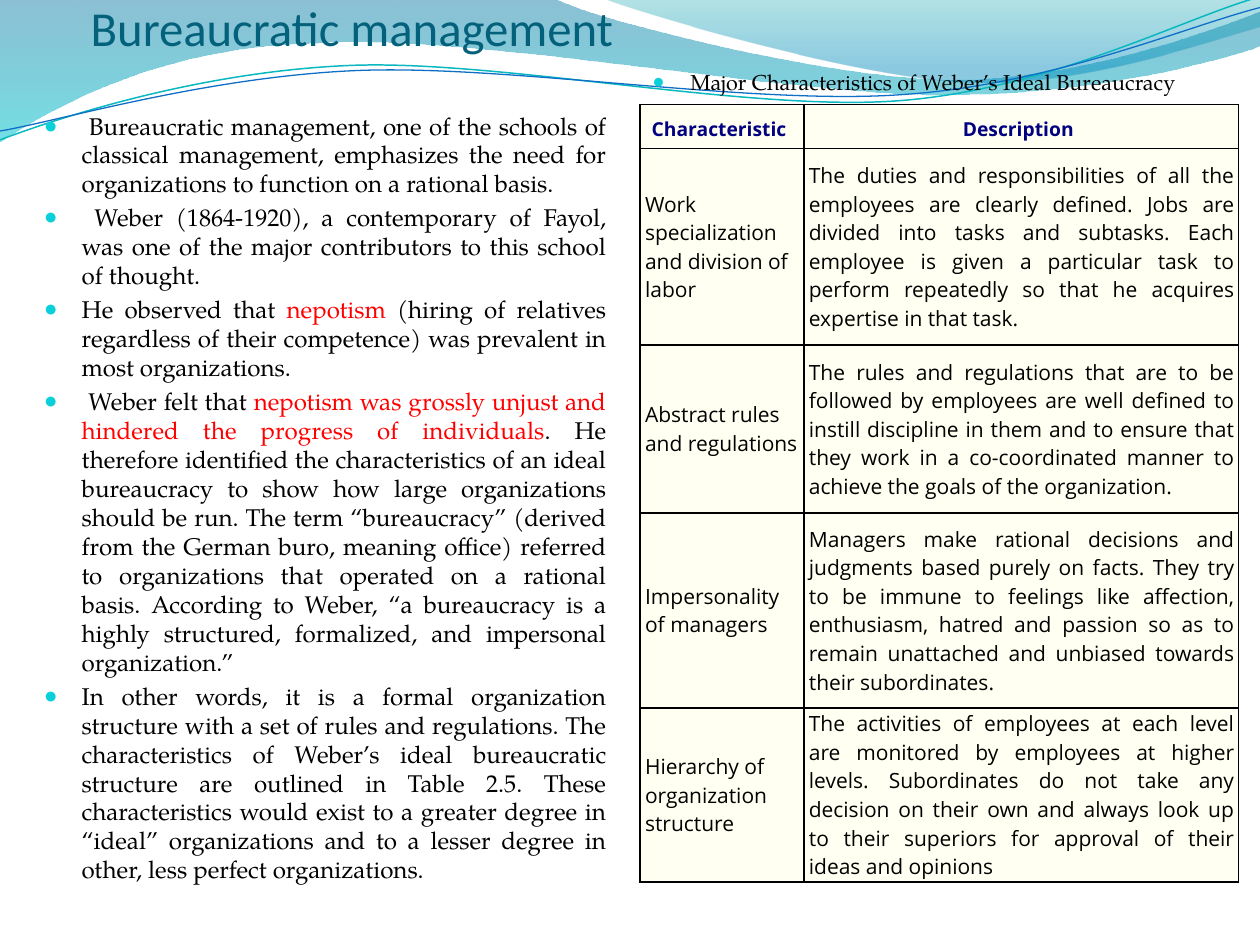
from math import cos, radians, sin
from lxml.etree import SubElement
from pptx import Presentation
from pptx.dml.color import RGBColor
from pptx.enum.text import MSO_ANCHOR, PP_ALIGN
from pptx.oxml import parse_xml
from pptx.oxml.ns import nsdecls, qn
from pptx.util import Inches, Pt

THEME = {
    "title": {"name": "Calibri", "size": 27.9, "color": "04617B"},
    "body": {"name": "TeX Gyre Pagella", "size": 13.8, "color": "000000"},
    "key": {"name": "TeX Gyre Pagella", "size": 13.8, "color": "FF0000"},
    "caption": {"name": "TeX Gyre Pagella", "size": 12.3, "color": "000000"},
    "head": {"name": "Open Sans", "size": 11, "color": "000080", "bold": True},
    "head_end": {"name": "Times New Roman", "size": 16, "color": "000000", "bold": True},
    "cell": {"name": "Open Sans", "size": 12, "color": "000000", "bold": False},
    "bullet": "0BD0D9",
    "bullet_font": "Times New Roman",
    "cell_fill": "FFFFF2",
    "border": "000000",
}

# Content: each paragraph is a list of (style, text) runs
TITLE = "Bureaucratic management"
CAPTION = "Major Characteristics of Weber’s Ideal Bureaucracy"
POINTS = [
    [("body", " Bureaucratic management, one of the schools of classical management, "
      "emphasizes the need for organizations to function on a rational basis.")],
    [("body", " Weber (1864-1920), a contemporary of Fayol, was one of the major "
      "contributors to this school of thought.")],
    [("body", "He observed that "), ("key", "nepotism"),
     ("body", " (hiring of relatives regardless of their competence) was prevalent "
      "in most organizations.")],
    [("body", " Weber felt that "),
     ("key", "nepotism was grossly unjust and hindered the progress of individuals"),
     ("body", ". He therefore identified the characteristics of an ideal bureaucracy "
      "to show how large organizations should be run. The term “bureaucracy” (derived "
      "from the German buro, meaning office) referred to organizations that operated "
      "on a rational basis. According to Weber, “a bureaucracy is a highly structured, "
      "formalized, and impersonal organization.”")],
    [("body", "In other words, it is a formal organization structure with a set of "
      "rules and regulations. The characteristics of Weber’s ideal bureaucratic "
      "structure are outlined in Table 2.5. These characteristics would exist to a "
      "greater degree in “ideal” organizations and to a lesser degree in other, less "
      "perfect organizations.")],
]
ROWS = [
    ("Characteristic", "Description"),
    ("Work specialization and division of labor",
     "The duties and responsibilities of all the employees are clearly defined. Jobs "
     "are divided into tasks and subtasks. Each employee is given a particular task to "
     "perform repeatedly so that he acquires expertise in that task."),
    ("Abstract rules and regulations",
     "The rules and regulations that are to be followed by employees are well defined "
     "to instill discipline in them and to ensure that they work in a co-coordinated "
     "manner to achieve the goals of the organization."),
    ("Impersonality of managers",
     "Managers make rational decisions and judgments based purely on facts. They try to "
     "be immune to feelings like affection, enthusiasm, hatred and passion so as to "
     "remain unattached and unbiased towards their subordinates."),
    ("Hierarchy of organization structure",
     "The activities of employees at each level are monitored by employees at higher "
     "levels. Subordinates do not take any decision on their own and always look up to "
     "their superiors for approval of their ideas and opinions"),
]
COL_WIDTHS = [1.3, 3.45]
ROW_HEIGHTS = [0.35, 1.56, 1.33, 1.55, 1.38]

# Waves: start point, then 2 numbers for a line or 6 for a cubic curve
BANDS = [  # steps, gradient stops (position, colour, opacity %)
    ([(0, 0), (4.4, -0.01), (4.76, 0.17, 6.64, 0.63, 7.58, 0.63),
      (8.53, 0.63, 9.58, 0.26, 10, 0.09), (10.01, 0.36),
      (9.83, 0.44, 8.7, 0.76, 7.46, 0.75), (6.22, 0.75, 3.82, 0.28, 2.57, 0.34),
      (1.29, 0.36, 0.46, 0.83, -0.01, 1.13)],
     [(0, "0074A1", 45), (1, "00C6CF", 55)]),
    ([(4.79, -0.01), (5.09, 0.11, 6.82, 0.62, 7.69, 0.65),
      (8.56, 0.69, 9.61, 0.32, 10, 0.21), (10, 0)],
     [(0, "00A1A9", 30), (0.8, "008BBF", 45)]),
]
STRANDS = [  # steps, colour, width
    ([(0, 1.11), (0.48, 0.93, 1.58, 0.57, 2.77, 0.52),
      (3.95, 0.47, 5.93, 0.89, 7.13, 0.8), (8.33, 0.71, 9.38, 0.15, 9.98, -0.02)],
     "0AB8BF", 0.85),
    ([(0, 1.04), (0.47, 0.96, 1.64, 0.61, 2.83, 0.56),
      (4.03, 0.51, 5.97, 0.84, 7.17, 0.75), (8.36, 0.67, 9.41, 0.21, 10, 0.06)],
     "0F6FC6", 0.75),
]
STRAND_TILT = -2.7
STRAND_CENTER = (4.99, 0.58)


def level(x, y):
    """Turn a strand point back to where it lies before the tilt."""
    a, (cx, cy) = radians(-STRAND_TILT), STRAND_CENTER
    dx, dy = x - cx, y - cy
    return cx + dx * cos(a) - dy * sin(a), cy + dx * sin(a) + dy * cos(a)


def add_wave(s, steps, tilt=0):
    """Draw the outline through its knots, then bend the curved segments."""
    steps = [[tuple(map(Inches, level(*xy) if tilt else xy))
              for xy in zip(step[::2], step[1::2])] for step in steps]
    fb = s.shapes.build_freeform(*steps[0][-1])
    fb.add_line_segments([step[-1] for step in steps[1:]], close=not tilt)
    sp = fb.convert_to_shape()
    for line, step in zip(list(sp._element.iter(qn("a:lnTo"))), steps[1:]):
        if len(step) == 3:
            line.tag = qn("a:cubicBezTo")
            line.clear()
            for x, y in step:
                SubElement(line, qn("a:pt"), x=str(x - sp.left), y=str(y - sp.top))
    sp.rotation = tilt
    sp.shadow.inherit = False
    return sp


def add_run(p, text, style):
    r = p.add_run()
    r.text = text
    for key, value in THEME[style].items():
        if key == "color":
            r.font.color.rgb = RGBColor.from_string(value)
        else:
            setattr(r.font, key, Pt(value) if key == "size" else value)


def add_box(s, at, **fmt):
    tf = s.shapes.add_textbox(*map(Inches, at)).text_frame
    for key, value in {"word_wrap": True, **fmt}.items():
        setattr(tf, key, value)
    return tf


def add_bullet(p):
    pPr = p._p.get_or_add_pPr()
    pPr.set("marL", str(Inches(0.3)))
    pPr.set("indent", str(-Inches(0.3)))
    SubElement(SubElement(pPr, qn("a:buClr")), qn("a:srgbClr"), val=THEME["bullet"])
    SubElement(pPr, qn("a:buSzPct"), val="95000")
    SubElement(pPr, qn("a:buFont"), typeface=THEME["bullet_font"])
    SubElement(pPr, qn("a:buChar"), char="●")


def set_borders(cell):
    tcPr = cell._tc.get_or_add_tcPr()
    for i, side in enumerate("LRTB"):
        tcPr.insert(i, parse_xml(
            f'<a:ln{side} {nsdecls("a")} w="{Pt(1)}"><a:solidFill>'
            f'<a:srgbClr val="{THEME["border"]}"/></a:solidFill></a:ln{side}>'))


prs = Presentation()
prs.slide_width, prs.slide_height = Inches(10), Inches(7.5)
s = prs.slides.add_slide(prs.slide_layouts[6])

# Wave bands and strands
for steps, stops in BANDS:
    sp = add_wave(s, steps)
    sp.line.fill.background()
    sp.fill.gradient()
    sp.fill.gradient_angle = 270
    for stop, (pos, color, _) in zip(sp.fill.gradient_stops, stops):
        stop.position = pos
        stop.color.rgb = RGBColor.from_string(color)
    colors = sp._element.spPr.find(qn("a:gradFill")).iter(qn("a:srgbClr"))
    for clr, (_, _, opacity) in zip(list(colors), stops):
        SubElement(clr, qn("a:alpha"), val=str(opacity * 1000))
for steps, color, width in STRANDS:
    sp = add_wave(s, steps, STRAND_TILT)
    sp.fill.background()
    sp.line.color.rgb = RGBColor.from_string(color)
    sp.line.width = Pt(width)

# Left column
tf = add_box(s, (0.25, 0.58, 4.66, 6.58), margin_top=Inches(0.3))
for i, runs in enumerate(POINTS):
    p = tf.add_paragraph() if i else tf.paragraphs[0]
    p.alignment = PP_ALIGN.JUSTIFY
    p.space_before = Pt(2.8 if i else 0)
    add_bullet(p)
    for style, text in runs:
        add_run(p, text, style)

# Table caption
p = add_box(s, (5.08, 0.5, 4.92, 6.45)).paragraphs[0]
add_bullet(p)
add_run(p, CAPTION, "caption")

# Table
table = s.shapes.add_table(len(ROWS), len(COL_WIDTHS), *map(Inches, (
    5.08, 0.83, sum(COL_WIDTHS), sum(ROW_HEIGHTS)))).table
for col, width in zip(table.columns, COL_WIDTHS):
    col.width = Inches(width)
CELL_FORMAT = {"margin_left": Inches(0.04), "margin_right": Inches(0.03),
               "margin_top": Inches(0.01), "margin_bottom": Inches(0.01),
               "vertical_anchor": MSO_ANCHOR.MIDDLE}
for i, texts in enumerate(ROWS):
    table.rows[i].height = Inches(ROW_HEIGHTS[i])
    for j, text in enumerate(texts):
        cell = table.cell(i, j)
        for key, value in CELL_FORMAT.items():
            setattr(cell, key, value)
        set_borders(cell)
        cell.fill.solid()
        cell.fill.fore_color.rgb = RGBColor.from_string(THEME["cell_fill"])
        p = cell.text_frame.paragraphs[0]
        p.alignment = PP_ALIGN.CENTER if i == 0 else (PP_ALIGN.LEFT, PP_ALIGN.JUSTIFY)[j]
        add_run(p, text, "cell" if i else "head")
        if i == 0:
            add_run(p, " ", "head_end")

# Title
tf = add_box(s, (0.58, 0, 9, 0.5), vertical_anchor=MSO_ANCHOR.BOTTOM, margin_right=0,
             margin_left=Inches(0.14), margin_top=0, margin_bottom=Inches(0.05))
add_run(tf.paragraphs[0], TITLE, "title")

prs.save("out.pptx")
